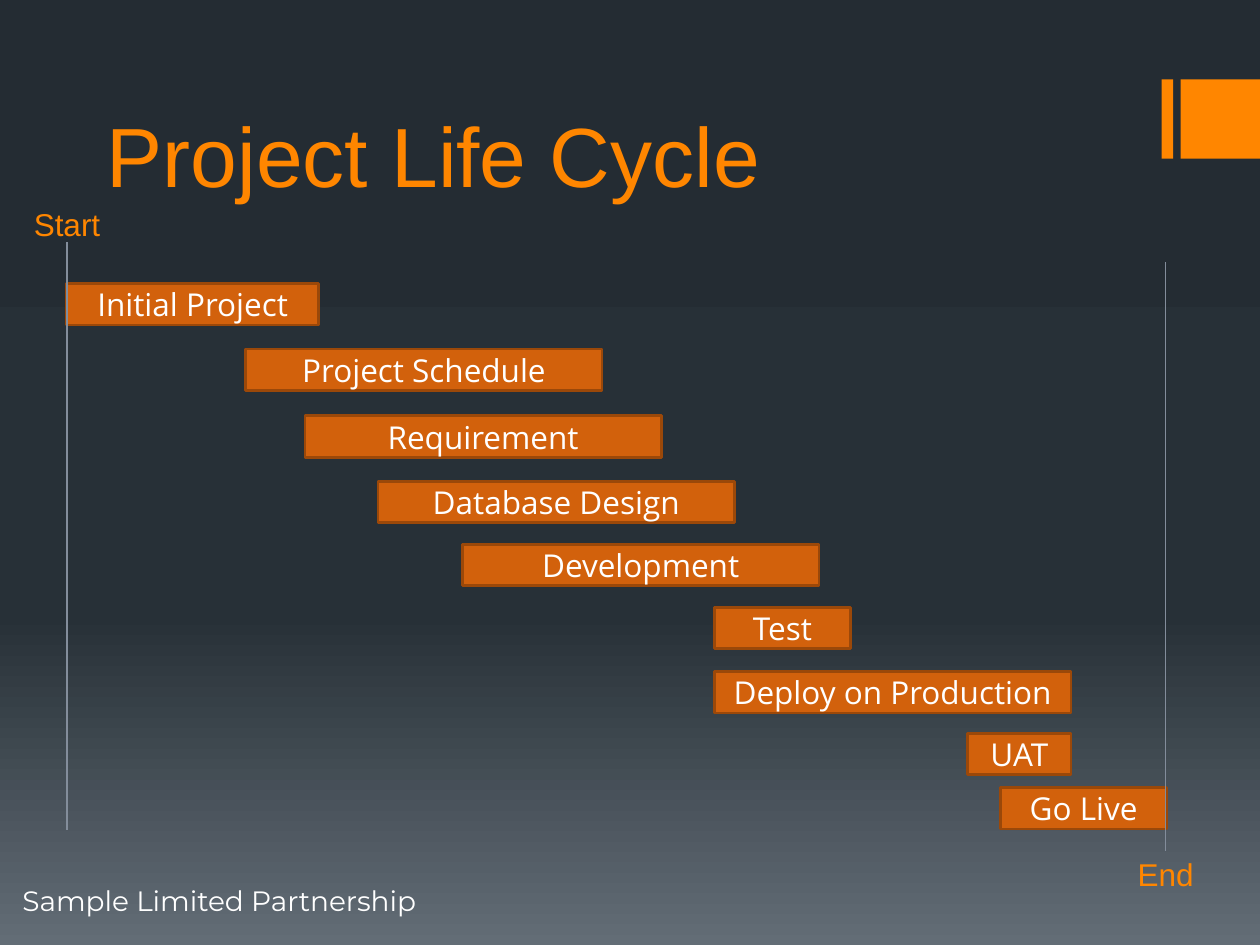
from copy import deepcopy

from pptx import Presentation
from pptx import util as u
from pptx.dml.color import RGBColor
from pptx.enum import shapes, text
from pptx.oxml import ns, xmlchemy

COLORS = {
    "accent": "FF8600", "bar": "D2610C", "bar_line": "9B4809",
    "rule": "838D9B", "white": "FFFFFF",
    "bg_top": "242C33", "bg_mid": "273037", "bg_end": "636D76",
}
BAR_H = 0.33
PHASES = [
    ("Initial Project", 0, 0, 2),
    ("Project Schedule", 1.42, 0.52, 2.83),
    ("Requirement", 1.89, 1.05, 2.83),
    ("Database Design", 2.47, 1.57, 2.83),
    ("Development", 3.14, 2.07, 2.83),
    ("Test", 5.14, 2.57, 1.08),
    ("Deploy on Production", 5.14, 3.08, 2.83),
    ("UAT", 7.15, 3.57, 0.82),
    ("Go Live", 7.41, 4, 1.32),
]


def rgb(name):
    """Return the palette colour called name."""
    return RGBColor.from_string(COLORS[name])


def write(sp, words, size=18, font="Arial", color="accent", align=text.PP_ALIGN.LEFT,
          anchor=text.MSO_ANCHOR.TOP, wrap=False):
    """Put one formatted paragraph into a shape."""
    tf = sp.text_frame
    tf.word_wrap = wrap
    tf.vertical_anchor = anchor
    p = tf.paragraphs[0]
    p.alignment = align
    r = p.add_run()
    r.text = words
    r.font.size = u.Pt(size)
    r.font.name = font
    r.font.color.rgb = rgb(color)


def add_label(s, words, left, top, width, height, **fmt):
    """Add a text box."""
    box = s.shapes.add_textbox(*map(u.Inches, (left, top, width, height)))
    write(box, words, **fmt)


def add_rect(s, left, top, width, height, fill, line=None):
    """Add a flat rectangle, outlined if a line colour is given."""
    sp = s.shapes.add_shape(shapes.MSO_SHAPE.RECTANGLE,
                            *map(u.Inches, (left, top, width, height)))
    sp.shadow.inherit = False
    sp.fill.solid()
    sp.fill.fore_color.rgb = rgb(fill)
    if line:
        sp.line.color.rgb = rgb(line)
        sp.line.width = u.Pt(1.5)
    else:
        sp.line.fill.background()
    return sp


def add_rule(s, x, top, height):
    """Add a thin vertical rule."""
    ln = s.shapes.add_connector(shapes.MSO_CONNECTOR.STRAIGHT,
                                *map(u.Inches, (x, top, x, top + height)))
    ln.line.color.rgb = rgb("rule")
    ln.line.width = u.Pt(1)
    spPr = ln._element.spPr
    spPr.append(xmlchemy.OxmlElement("a:effectLst"))


def paint_background(s):
    """Fill the slide with a three-stop vertical gradient."""
    fill = s.background.fill
    fill.gradient()
    fill.gradient_angle = 270
    stops = s._element.find(".//" + ns.qn("a:gsLst"))
    stops.append(deepcopy(stops[-1]))
    palette = (("bg_top", 0), ("bg_mid", 0.65), ("bg_end", 1))
    for stop, (name, position) in zip(fill.gradient_stops, palette):
        stop.color.rgb = rgb(name)
        stop.position = position


def add_header(s, left, top, width, height):
    """Add the title and the accent blocks at the right edge."""
    add_label(s, "Project Life Cycle", left, top, width, height, size=48,
              anchor=text.MSO_ANCHOR.BOTTOM, wrap=True)
    block = 0.63
    for x, w in ((left + width - 0.03, 0.09), (10 - block, block)):
        add_rect(s, x, top + 0.21, w, block, "accent")


def add_timeline(s, left, top, width):
    """Add the staggered phase bars between the start and end rules."""
    def add_phases(phases):
        for words, dx, dy, w in phases:
            sp = add_rect(s, left + dx, top + dy, w, BAR_H, "bar", "bar_line")
            write(sp, words, font="Open Sans", color="white", wrap=True,
                  align=text.PP_ALIGN.CENTER, anchor=text.MSO_ANCHOR.MIDDLE)

    rule_h = 4.67
    add_phases(PHASES[:2])
    add_rule(s, left, top - 0.33, rule_h)
    add_label(s, "Start", left - 0.36, top - 0.67, 0.73, 0.4)
    add_phases(PHASES[2:])
    add_rule(s, left + width, top - 0.17, rule_h)
    add_label(s, "End", left + width - 0.32, top + 4.49, 0.65, 0.4)


def add_footer(s, left, top, width, height):
    """Add the company line."""
    add_label(s, "Sample Limited Partnership", left, top, width, height,
              size=16, font="Montserrat", color="white")


def main():
    """Build and save the slide."""
    prs = Presentation()
    prs.slide_width, prs.slide_height = u.Inches(10), u.Inches(7.5)
    s = prs.slides.add_slide(prs.slide_layouts[6])
    paint_background(s)
    add_header(s, 0.75, 0.42, 8.5, 1.25)
    add_footer(s, 0.08, 6.96, 3.42, 0.37)
    add_timeline(s, 0.53, 2.25, 8.72)
    prs.save("out.pptx")


main()
